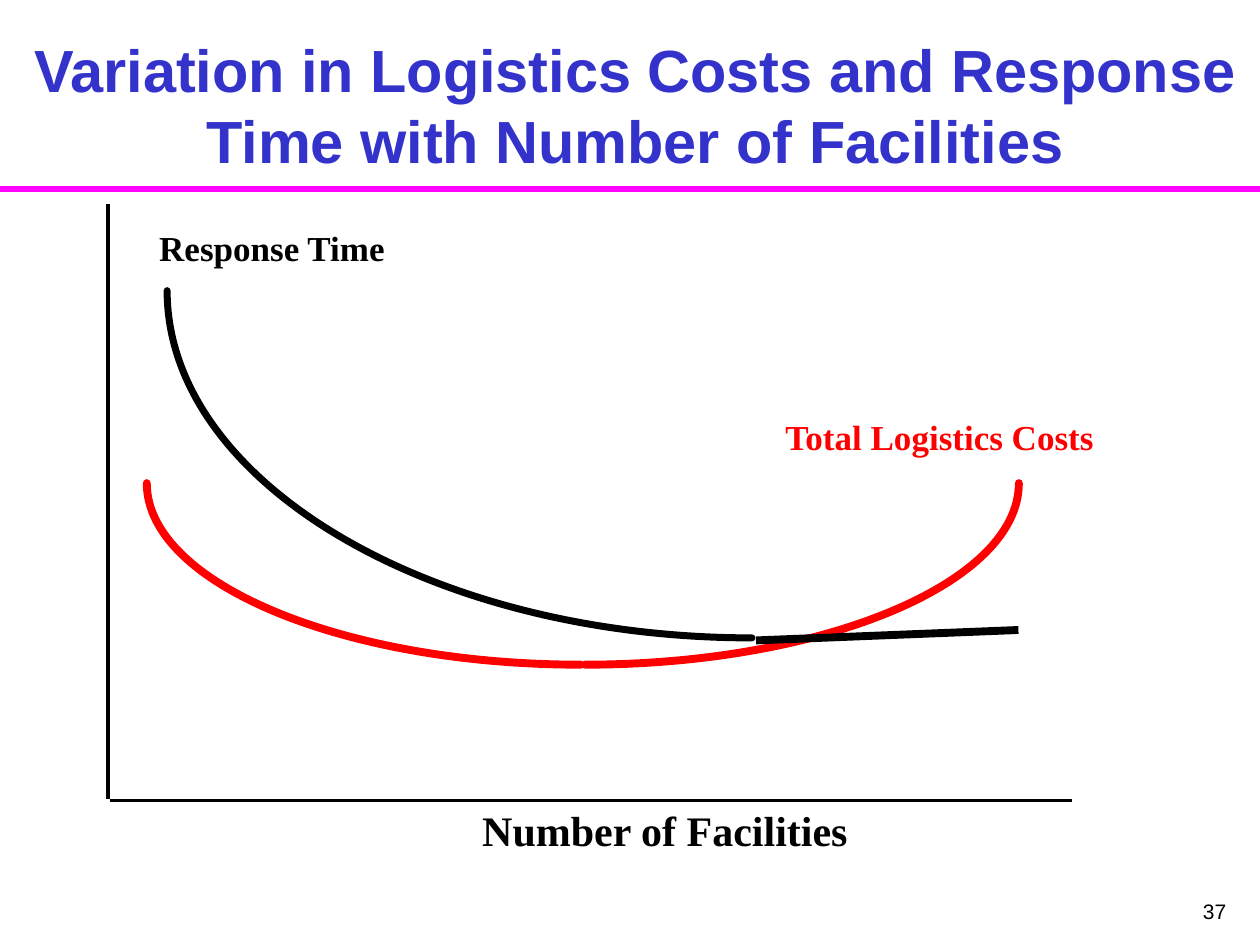
from lxml import etree
from pptx import Presentation
from pptx.dml.color import RGBColor
from pptx.enum.shapes import MSO_CONNECTOR as CONN
from pptx.enum.text import MSO_ANCHOR as ANCHOR, MSO_AUTO_SIZE as FIT
from pptx.enum.text import PP_ALIGN as ALIGN
from pptx.oxml.ns import qn
from pptx.util import Cm, Pt

BLACK, RED, BLUE, MAGENTA = "000000", "FF0000", "3333CC", "FF00FF"
SERIF, SANS = "Times New Roman", "Arial"
KAPPA = 0.55  # control point distance for a quarter ellipse


def color(value):
    return RGBColor.from_string(value)


def add_text(slide, text, box, size, font, fill=BLACK, bold=True,
             align=ALIGN.CENTER, wrap=True, anchor=ANCHOR.TOP,
             insets=(0.25, 0.13), fit=FIT.NONE):
    s = slide.shapes.add_textbox(*map(Cm, box))
    tf = s.text_frame
    tf.word_wrap = wrap
    tf.auto_size = fit
    tf.vertical_anchor = anchor
    tf.margin_left = tf.margin_right = Cm(insets[0])
    tf.margin_top = tf.margin_bottom = Cm(insets[1])
    p = tf.paragraphs[0]
    p.alignment = align
    r = p.add_run()
    r.text = text
    r.font.name, r.font.size, r.font.bold = font, Pt(size), bold
    r.font.color.rgb = color(fill)


def add_label(slide, text, box, size, fill=BLACK, **options):
    add_text(slide, text, box, size, SERIF, fill,
             fit=FIT.SHAPE_TO_FIT_TEXT, **options)


def add_line(slide, start, end, stroke, width):
    s = slide.shapes.add_connector(CONN.STRAIGHT, *map(Cm, start + end))
    s.line.color.rgb = color(stroke)
    s.line.width = Pt(width)
    etree.SubElement(s._element.spPr, qn("a:effectLst"))


def add_quarter_curve(slide, center, radii, stroke, width):
    """Draw a lower quarter ellipse; a negative x radius opens it leftward."""
    (cx, cy), (rx, ry) = center, radii
    units = ((1, 0), (1, KAPPA), (KAPPA, 1), (0, 1))
    points = [(Cm(cx + rx * x), Cm(cy + ry * y)) for x, y in units]
    builder = slide.shapes.build_freeform(*points[0])
    builder.add_line_segments(points[1:], close=False)
    s = builder.convert_to_shape()

    # Turn the three segments into one Bezier curve
    segments = list(s._element.iter(qn("a:lnTo")))
    curve = etree.SubElement(segments[0].getparent(), qn("a:cubicBezTo"))
    for segment in segments:
        curve.append(segment[0])
        segment.getparent().remove(segment)

    s.shadow.inherit = False
    s.fill.background()
    s.line.color.rgb = color(stroke)
    s.line.width = Pt(width)
    ln = s.line._get_or_add_ln()
    ln.set("cap", "rnd")
    etree.SubElement(ln, qn("a:round"))


def main():
    prs = Presentation()
    prs.slide_width, prs.slide_height = Cm(25.4), Cm(19.05)
    slide = prs.slides.add_slide(prs.slide_layouts[6])

    # Heading, rule and page number
    add_line(slide, (0, 3.81), (25.4, 3.81), MAGENTA, 4)
    add_text(slide, "37", (19.69, 17.98, 5.28, 1.07), 12, SANS,
             bold=False, align=ALIGN.RIGHT)
    add_text(slide, "Variation in Logistics Costs and Response Time "
             "with Number of Facilities", (0.42, 1.96, 24.77, 1.63), 34, SANS,
             BLUE, anchor=ANCHOR.BOTTOM, insets=(0.13, 0.05))

    # Axes
    add_line(slide, (2.18, 4.11), (2.18, 16.1), BLACK, 2)
    add_line(slide, (2.21, 16.14), (21.62, 16.14), BLACK, 2)
    add_label(slide, "Number of Facilities", (9.47, 16.08, 7.87, 1.27), 24,
              wrap=False)

    # Response time: falling curve with a nearly flat tail
    add_label(slide, "Response Time", (2.96, 4.43, 6.15, 1.09), 20,
              align=ALIGN.LEFT)
    add_quarter_curve(slide, (15.16, 5.86), (-11.79, 7), BLACK, 4)

    # Total logistics costs: two halves of a bowl
    add_label(slide, "Total Logistics Costs", (15.56, 8.24, 6.76, 1.09), 20,
              RED, wrap=False)
    for cx, rx in ((11.79, 8.75), (11.71, -8.75)):
        add_quarter_curve(slide, (cx, 9.74), (rx, 3.66), RED, 4.5)
    add_line(slide, (15.24, 12.91), (20.53, 12.7), BLACK, 4.5)

    prs.save("out.pptx")


if __name__ == "__main__":
    main()
